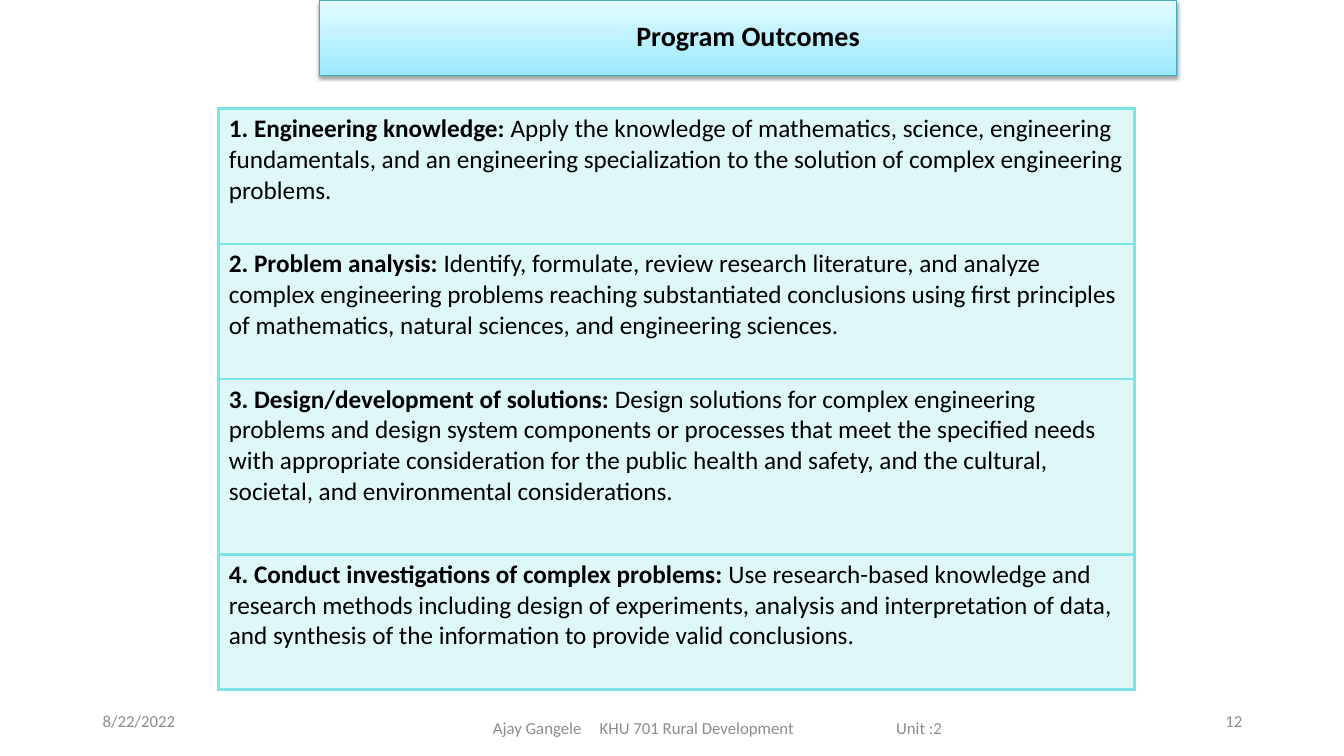
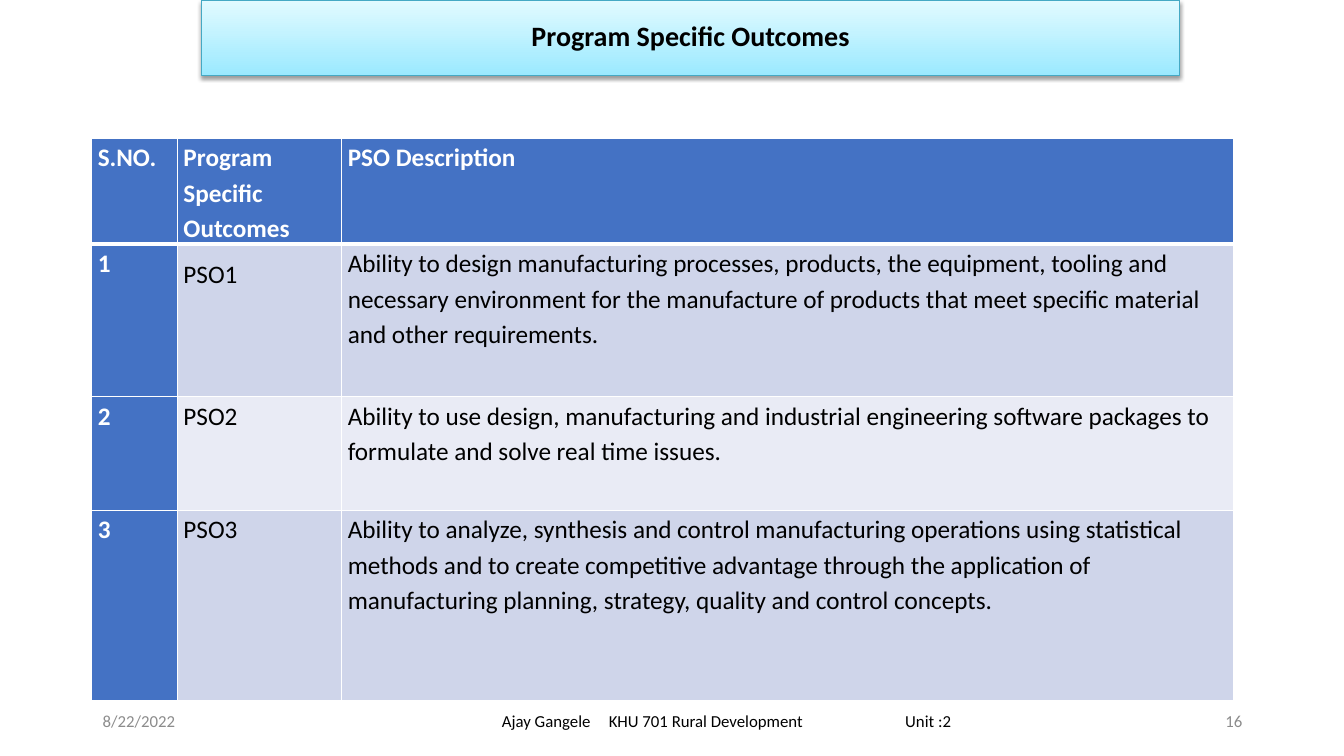
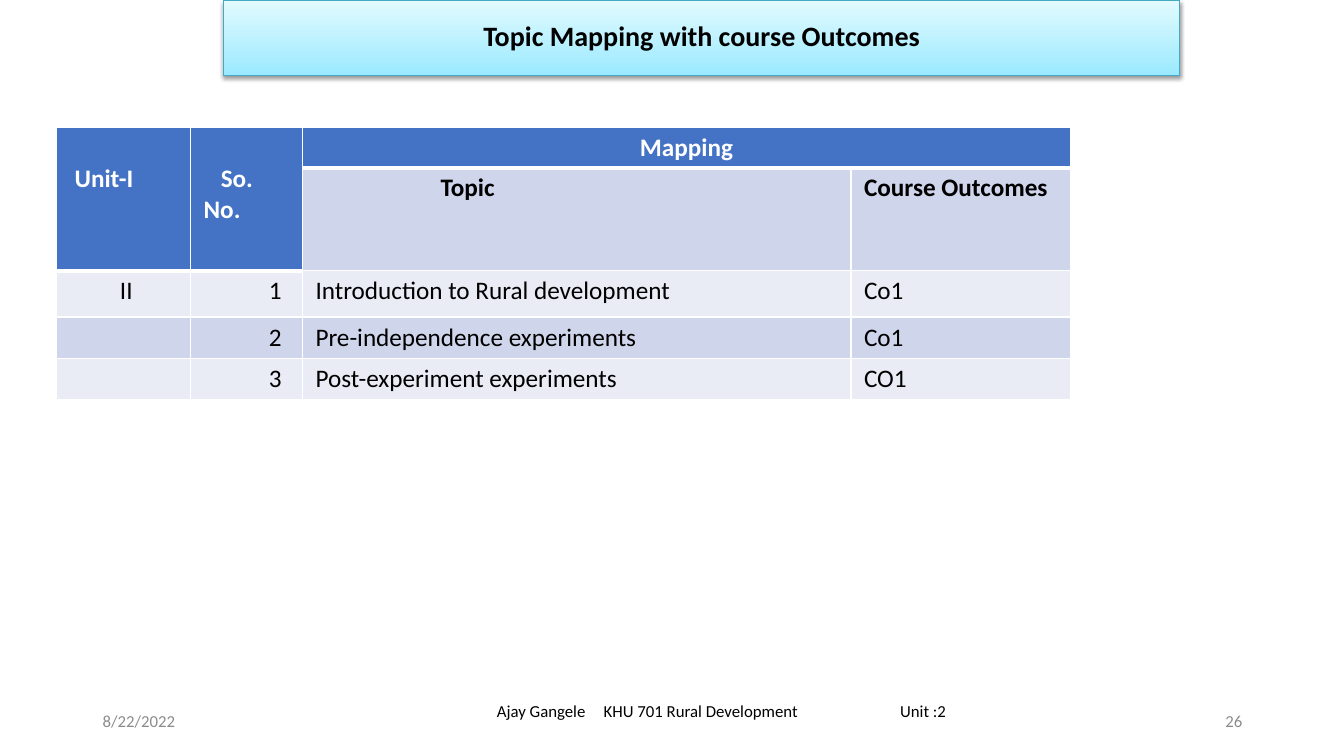
from lxml import etree
from pptx import Presentation
from pptx.dml.color import RGBColor
from pptx.enum.text import MSO_ANCHOR, PP_ALIGN
from pptx.oxml import parse_xml
from pptx.oxml.ns import nsdecls, qn
from pptx.util import Inches, Pt

LEFT, CENTER, RIGHT = PP_ALIGN.LEFT, PP_ALIGN.CENTER, PP_ALIGN.RIGHT
JUSTIFY = PP_ALIGN.JUSTIFY
MIDDLE = MSO_ANCHOR.MIDDLE

TITLE_ONLY = 5
FONT = "Calibri"
COLORS = {
    "black": "000000", "white": "FFFFFF", "grey": "8C8C8C",
    "band_top": "E2FBFF", "band_bottom": "9BE9FF", "band_line": "45A9C4",
    "aqua": "7BE5E5", "aqua_pale": "DEF8F8",
    "header": "4472C4", "stripe_dark": "CFD5EA", "stripe_light": "E9EBF5",
}

# Cell formats
PLAIN = {"fill": "stripe_light", "color": "black", "bold": False, "edge": "white",
         "edge_width": 1, "bottom_width": 1, "paragraph": {},
         "indent": 0, "margins": {}}
OUTCOME = PLAIN | {"fill": "aqua_pale", "edge": "aqua",
                   "edge_width": 2.25, "bottom_width": 2.25}
PSO_CELL = PLAIN | {
    "paragraph": {"line_spacing": 1.15, "space_after": Pt(10)},
    "margins": {"left": 0.06, "top": 0, "right": 0.06, "bottom": 0}}
MAP_CELL = PLAIN | {"margins": {"left": 0.13, "right": 0.13}}
HEADER = {"fill": "header", "color": "white", "bold": True}
HEADER_ROW = HEADER | {"bottom_width": 3}

# Content
DATE = "8/22/2022"
FOOTER_TEXT = "Ajay Gangele\tKHU 701 Rural Development\tUnit :2"
FOOTER_TABS = (1.06, 4)

OUTCOMES = [
    ("1. Engineering knowledge: ",
     "Apply the knowledge of mathematics, science, engineering fundamentals, and an "
     "engineering specialization to the solution of complex engineering problems."),
    ("2. Problem analysis: ",
     "Identify, formulate, review research literature, and analyze complex engineering "
     "problems reaching substantiated conclusions using first principles of mathematics, "
     "natural sciences, and engineering sciences."),
    ("3. Design/development of solutions: ",
     "Design solutions for complex engineering problems and design system components or "
     "processes that meet the specified needs with appropriate consideration for the public "
     "health and safety, and the cultural, societal, and environmental considerations."),
    ("4. Conduct investigations of complex problems: ",
     "Use research-based knowledge and research methods including design of experiments, "
     "analysis and interpretation of data, and synthesis of the information to provide "
     "valid conclusions."),
]

PSO_HEADINGS = ["S.NO.", "Program Specific Outcomes", "PSO Description"]
PSO_DESCRIPTIONS = [
    "Ability to design manufacturing processes, products, the equipment, tooling and "
    "necessary environment for the manufacture of products that meet specific material "
    "and other requirements.",
    "Ability to use design, manufacturing and industrial engineering software packages to "
    "formulate and solve real time issues.",
    "Ability to analyze, synthesis and control manufacturing operations using statistical "
    "methods and to create competitive advantage through the application of manufacturing "
    "planning, strategy, quality and control concepts.",
]

TOPICS = [
    ("II", "1", "Introduction to Rural development", "Co1"),
    ("", "2", "Pre-independence experiments", "Co1"),
    ("", "3", "Post-experiment experiments", "CO1"),
]


def rgb(name):
    return RGBColor.from_string(COLORS[name])


def apply(target, values):
    for name, value in values.items():
        setattr(target, name, value)


def add_run(paragraph, text, size, color, bold=False):
    run = paragraph.add_run()
    run.text = text
    apply(run.font, {"name": FONT, "size": Pt(size), "bold": bold})
    run.font.color.rgb = rgb(color)


def add_title_band(slide, text, left, width):
    band = slide.shapes.title
    apply(band, {"left": Inches(left), "top": 0,
                 "width": Inches(width), "height": Inches(0.75)})
    band.fill.gradient()
    band.fill.gradient_angle = 90
    for stop, name in zip(band.fill.gradient_stops, ("band_bottom", "band_top")):
        stop.color.rgb = rgb(name)
    band.line.color.rgb = rgb("band_line")
    band.line.width = Pt(0.75)
    # Soft shadow below the band
    band._element.spPr.append(parse_xml(
        f'<a:effectLst {nsdecls("a")}><a:outerShdw blurRad="{Pt(3.1)}" dist="{Pt(1.6)}" '
        'dir="5400000" rotWithShape="0"><a:srgbClr val="000000"><a:alpha val="38000"/>'
        '</a:srgbClr></a:outerShdw></a:effectLst>'))
    band.text_frame.vertical_anchor = MIDDLE
    paragraph = band.text_frame.paragraphs[0]
    apply(paragraph, {"alignment": CENTER, "line_spacing": 0.9})
    add_run(paragraph, text, 20, "black", True)


def add_footer_text(slide, text, box, color, align=LEFT, tabs=()):
    frame = slide.shapes.add_textbox(*map(Inches, box)).text_frame
    apply(frame, {"word_wrap": True, "vertical_anchor": MIDDLE})
    paragraph = frame.paragraphs[0]
    paragraph.alignment = align
    if tabs:
        tab_list = etree.SubElement(paragraph._p.get_or_add_pPr(), qn("a:tabLst"))
        for position in tabs:
            etree.SubElement(tab_list, qn("a:tab"), pos=str(Inches(position)), algn="l")
    add_run(paragraph, text, 12, color)


def add_footer(slide, number, course_left, course_top, course_color):
    add_footer_text(slide, DATE, (0.92, 6.95, 3, 0.4), "grey")
    add_footer_text(slide, FOOTER_TEXT, (course_left, course_top, 4.8, 0.4),
                    course_color, tabs=FOOTER_TABS)
    add_footer_text(slide, number, (9.42, 6.95, 3, 0.4), "grey", RIGHT)


def add_borders(cell, style, first_row, first_column):
    edges = {"lnL": style["edge_width"] if first_column else None,
             "lnR": style["edge_width"],
             "lnT": style["edge_width"] if first_row else None,
             "lnB": style["bottom_width"]}
    for tag, width in edges.items():
        if width:
            cell._tc.get_or_add_tcPr().append(parse_xml(
                f'<a:{tag} {nsdecls("a")} w="{Pt(width)}"><a:solidFill>'
                f'<a:srgbClr val="{COLORS[style["edge"]]}"/></a:solidFill></a:{tag}>'))


def fill_cell(cell, runs, style):
    cell.fill.solid()
    cell.fill.fore_color.rgb = rgb(style["fill"])
    apply(cell, {f"margin_{side}": Inches(gap) for side, gap in style["margins"].items()})
    paragraph = cell.text_frame.paragraphs[0]
    apply(paragraph, style["paragraph"])
    if style["indent"]:
        paragraph._p.get_or_add_pPr().set("indent", str(Inches(style["indent"])))
    for text, bold in runs:
        add_run(paragraph, text, 18, style["color"], bold)


def add_grid(slide, left, top, widths, heights, rows):
    """Each cell is (text or list of (text, bold), style)."""
    box = (left, top, sum(widths), sum(heights))
    table = slide.shapes.add_table(len(heights), len(widths), *map(Inches, box)).table
    apply(table, {"first_row": False, "horz_banding": False})
    for column, width in zip(table.columns, widths):
        column.width = Inches(width)
    for r, (height, row) in enumerate(zip(heights, rows)):
        table.rows[r].height = Inches(height)
        for c, (content, style) in enumerate(row):
            cell = table.cell(r, c)
            add_borders(cell, style, r == 0, c == 0)
            if isinstance(content, str):
                content = [(content, style["bold"])] if content else []
            fill_cell(cell, content, style)
    return table


def outcomes_table(slide, left, top):
    rows = [[([(name, True), (detail, False)], OUTCOME)] for name, detail in OUTCOMES]
    add_grid(slide, left, top, [9.08], [1.34, 1.34, 1.74, 1.34], rows)


def pso_table(slide, left, top):
    rows = [[(heading, PSO_CELL | HEADER_ROW) for heading in PSO_HEADINGS]]
    for number, description in enumerate(PSO_DESCRIPTIONS, 1):
        body = PSO_CELL | {"fill": "stripe_dark" if number % 2 else "stripe_light"}
        code = body
        if number == 1:
            code = body | {"paragraph": body["paragraph"]
                           | {"line_spacing": 1.5, "alignment": JUSTIFY}}
        rows.append([(str(number), PSO_CELL | HEADER),
                     (f"PSO{number}", code), (description, body)])
    add_grid(slide, left, top, [0.85, 1.63, 8.85], [1.05, 1.51, 1.13, 1.89], rows)


def mapping_table(slide, left, top):
    def inset(style, **margins):
        return style | {"margins": style["margins"] | margins}

    def aligned(style, align):
        return style | {"paragraph": {"alignment": align}}

    head = MAP_CELL | HEADER_ROW
    subhead = MAP_CELL | {"fill": "stripe_dark", "bold": True}
    rows = [
        [("Unit-I", inset(head, left=0.18, top=0.36)),
         ("So. No.", inset(head, top=0.36, right=0.2) | {"indent": 0.17}),
         ("Mapping", aligned(head, CENTER)), ("", head)],
        [("", head), ("", head),
         ("Topic", inset(subhead, left=1.37)), ("Course Outcomes", subhead)],
    ]
    for index, (unit, number, topic, outcome) in enumerate(TOPICS):
        body = MAP_CELL | {"fill": "stripe_dark" if index % 2 else "stripe_light"}
        rows.append([(unit, inset(body, left=0.63)),
                     (number, aligned(inset(body, left=0.7), CENTER)),
                     (topic, aligned(body, JUSTIFY)), (outcome, aligned(body, JUSTIFY))])
    table = add_grid(slide, left, top, [1.33, 1.11, 5.44, 2.18],
                     [0.4, 1.01, 0.46, 0.41, 0.41], rows)
    for start, end in (((0, 0), (1, 0)), ((0, 1), (1, 1)), ((0, 2), (0, 3))):
        table.cell(*start).merge(table.cell(*end))


# Title, band (left, width), table, its corner, footer (number, left, top, colour)
SLIDES = [
    ("Program Outcomes", (3.17, 8.5), outcomes_table, (2.17, 1.08),
     ("12", 4.79, 7.02, "grey")),
    ("Program Specific Outcomes", (2, 9.7), pso_table, (0.91, 1.37),
     ("16", 4.88, 6.95, "black")),
    ("Topic Mapping with course Outcomes", (2.22, 9.48), mapping_table, (0.56, 1.26),
     ("26", 4.83, 6.85, "black")),
]


def main():
    deck = Presentation()
    apply(deck, {"slide_width": Inches(13.33), "slide_height": Inches(7.5)})
    for title, band, add_content, corner, footer in SLIDES:
        slide = deck.slides.add_slide(deck.slide_layouts[TITLE_ONLY])
        add_title_band(slide, title, *band)
        add_content(slide, *corner)
        add_footer(slide, *footer)
    deck.save("out.pptx")


if __name__ == "__main__":
    main()
